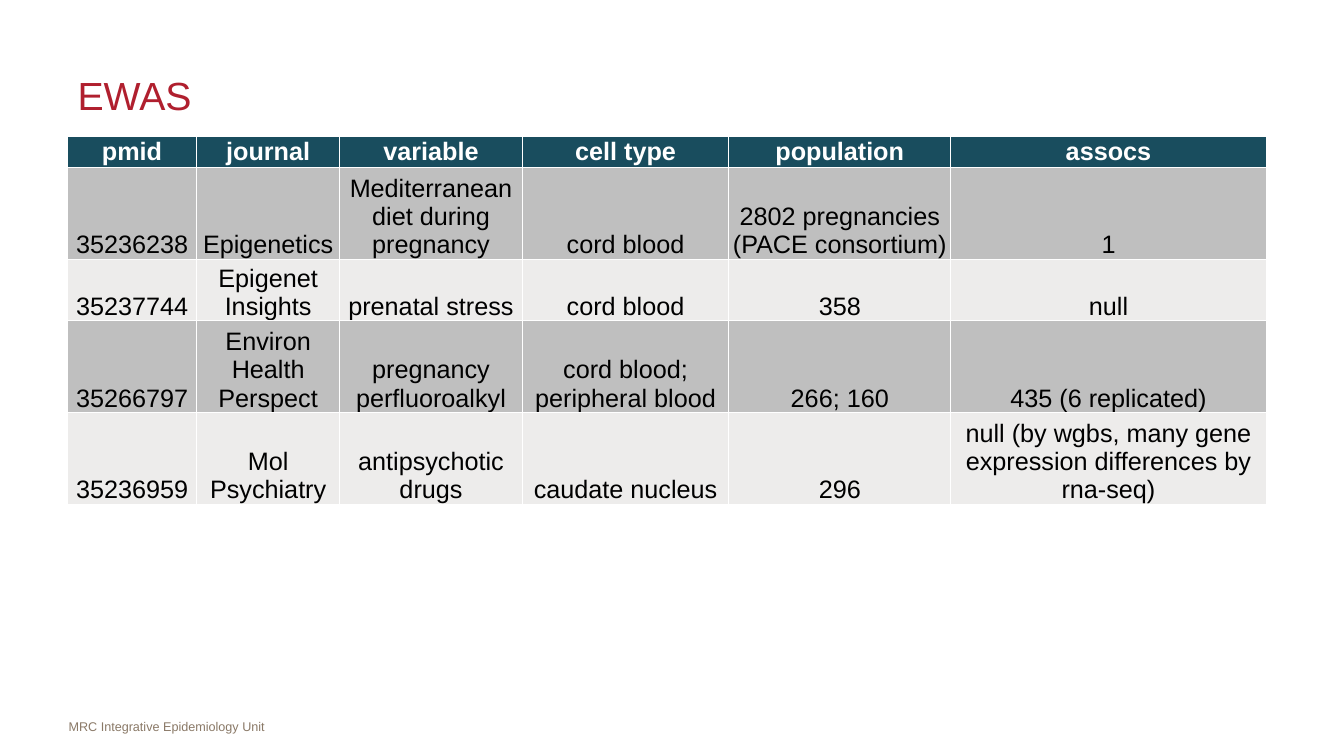
from dataclasses import dataclass

from lxml import etree
from pptx import Presentation
from pptx import util as u
from pptx.dml.color import RGBColor
from pptx.enum import text
from pptx.oxml import ns


@dataclass(frozen=True)
class Theme:
    font: str = "Arial"
    title: str = "B01F2E"
    footer: str = "8A7967"
    header: str = "194D5E"
    bands: tuple = ("BFBFBF", "EDECEB")
    light: str = "FFFFFF"
    dark: str = "000000"
    title_size: int = 28
    table_size: int = 18
    footer_size: int = 9


THEME = Theme()
COLUMNS = (1.28, 1.42, 1.81, 2.05, 2.2, 3.13)
ROW_HEIGHT = 0.2
LEFT, WIDTH = 0.67, sum(COLUMNS)
STUDIES = [
    ("pmid", "journal", "variable", "cell type", "population", "assocs"),
    ("35236238", "Epigenetics", "Mediterranean diet during pregnancy",
     "cord blood", "2802 pregnancies (PACE consortium)", "1"),
    ("35237744", "Epigenet Insights", "prenatal stress",
     "cord blood", "358", "null"),
    ("35266797", "Environ Health Perspect", "pregnancy perfluoroalkyl",
     "cord blood; peripheral blood", "266; 160", "435 (6 replicated)"),
    ("35236959", "Mol Psychiatry", "antipsychotic drugs", "caudate nucleus",
     "296", "null (by wgbs, many gene expression differences by rna-seq)"),
]


def inches(box):
    return [u.Inches(v) for v in box]


def write(tf, words, size, color, align=text.PP_ALIGN.LEFT, bold=False):
    p = tf.paragraphs[0]
    p.alignment = align
    r = p.add_run()
    r.text = words
    r.font.name = THEME.font
    r.font.size = u.Pt(size)
    r.font.bold = bold
    r.font.color.rgb = RGBColor.from_string(color)


def add_title(slide, box, words):
    sp = slide.shapes.title
    sp.left, sp.top, sp.width, sp.height = inches(box)
    tf = sp.text_frame
    tf.vertical_anchor = text.MSO_ANCHOR.MIDDLE
    write(tf, words, THEME.title_size, THEME.title)


def add_footer(slide, box, words):
    tf = slide.shapes.add_textbox(*inches(box)).text_frame
    tf.word_wrap = True
    tf.margin_left = tf.margin_right = 0
    write(tf, words, THEME.footer_size, THEME.footer)


def set_borders(cell, color, width):
    tc_pr = cell._tc.get_or_add_tcPr()
    for i, side in enumerate(("lnL", "lnR", "lnT", "lnB")):
        ln = etree.Element(ns.qn(f"a:{side}"), w=str(u.Pt(width)))
        fill = etree.SubElement(ln, ns.qn("a:solidFill"))
        etree.SubElement(fill, ns.qn("a:srgbClr"), val=color)
        tc_pr.insert(i, ln)


def format_cell(cell, words, row):
    is_header = row == 0
    cell.margin_left = cell.margin_right = cell.margin_top = u.Inches(0.01)
    cell.margin_bottom = 0
    anchors = text.MSO_ANCHOR
    cell.vertical_anchor = anchors.MIDDLE if is_header else anchors.BOTTOM
    fill = THEME.header if is_header else THEME.bands[(row - 1) % 2]
    cell.fill.solid()
    cell.fill.fore_color.rgb = RGBColor.from_string(fill)
    set_borders(cell, THEME.light, 1)
    write(cell.text_frame, words, THEME.table_size,
          THEME.light if is_header else THEME.dark,
          text.PP_ALIGN.CENTER, is_header)


def add_studies(slide, box, rows):
    table = slide.shapes.add_table(len(rows), len(COLUMNS), *inches(box)).table
    for column, width in zip(table.columns, COLUMNS):
        column.width = u.Inches(width)
    for i, row in enumerate(rows):
        table.rows[i].height = u.Inches(ROW_HEIGHT)
        for j, words in enumerate(row):
            format_cell(table.cell(i, j), words, i)


def main():
    prs = Presentation()
    prs.slide_width, prs.slide_height = inches((13.33, 7.5))
    slide = prs.slides.add_slide(prs.slide_layouts[5])
    add_footer(slide, (LEFT + 0.01, 7.08, 3.22, 0.25),
               "MRC Integrative Epidemiology Unit")
    add_title(slide, (LEFT, 0.5, WIDTH, 0.89), "EWAS")
    add_studies(slide, (LEFT, 1.35, WIDTH, ROW_HEIGHT * len(STUDIES)), STUDIES)
    prs.save("out.pptx")


if __name__ == "__main__":
    main()
